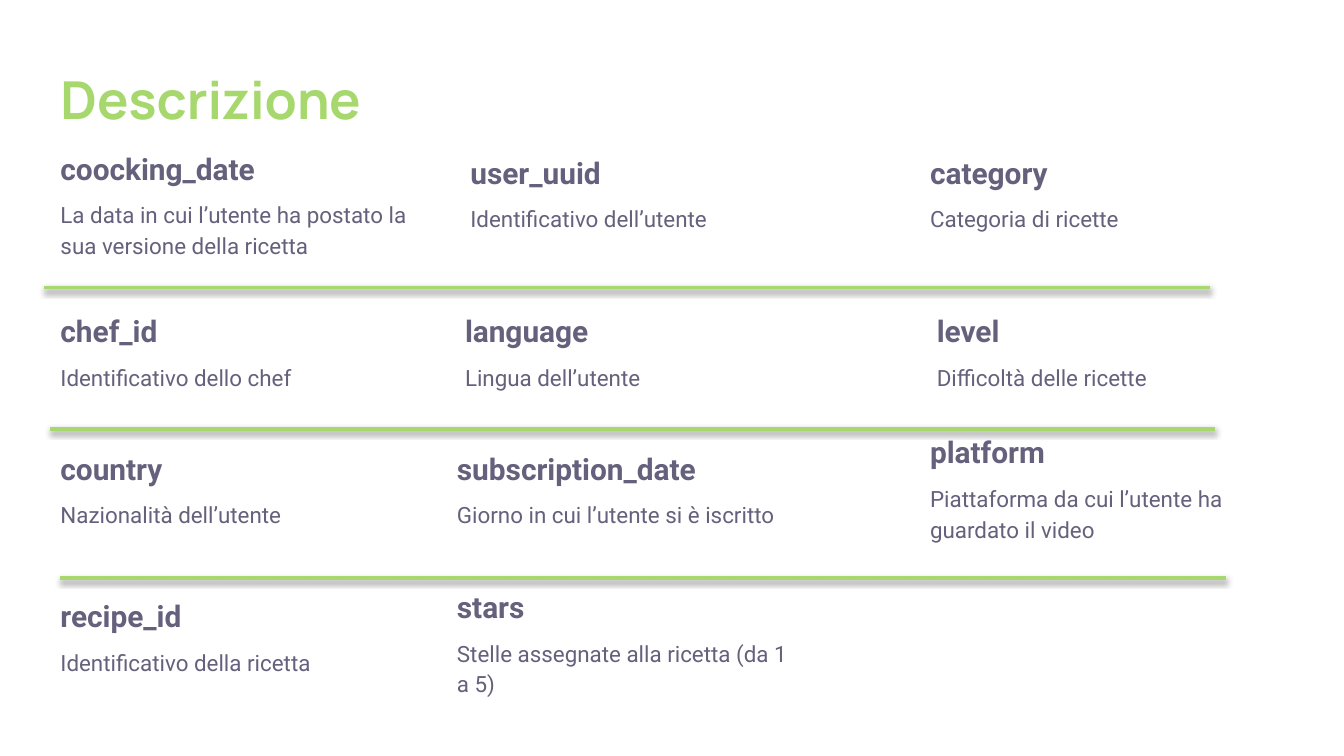
import pptx
import pptx.dml.color
import pptx.enum.shapes
import pptx.enum.text
import pptx.oxml
import pptx.oxml.ns
import pptx.util
from pptx.util import Inches

COLORS = {"green": "A7D86D", "text": "65617D", "shadow": "000000"}
FIELD_WIDTH = 2.58
RULE_LENGTH = 8.67

FIELDS = [  # left, top, height, name, description
    (0.45, 1.08, 1.43, "coocking_date",
     "La data in cui l’utente ha postato la sua versione della ricetta"),
    (3.5, 1.11, 1.43, "user_uuid", "Identificativo dell’utente"),
    (6.92, 1.11, 1.43, "category", "Categoria di ricette"),
    (0.45, 2.29, 0.91, "chef_id", "Identificativo dello chef"),
    (3.46, 2.29, 0.91, "language", "Lingua dell’utente"),
    (6.97, 2.29, 0.91, "level", "Difficoltà delle ricette"),
    (6.92, 3.19, 1.43, "platform", "Piattaforma da cui l’utente ha guardato il video"),
    (3.4, 3.31, 0.91, "subscription_date", "Giorno in cui l’utente si è iscritto"),
    (0.45, 3.31, 0.91, "country", "Nazionalità dell’utente"),
    (0.45, 4.41, 0.91, "recipe_id", "Identificativo della ricetta"),
    (3.4, 4.34, 0.91, "stars", "Stelle assegnate alla ricetta (da 1 a 5)"),
]
RULES = [(0.33, 2.14), (0.37, 3.19), (0.45, 4.3)]  # left, top


def rgb(name):
    return pptx.dml.color.RGBColor.from_string(COLORS[name])


class Page:
    """The current slide and the style of its elements."""

    def __init__(self, deck):
        self.slide = deck.slides.add_slide(deck.slide_layouts[5])

    def place(self, shape, left, top, width, height):
        shape.left, shape.top = Inches(left), Inches(top)
        shape.width, shape.height = Inches(width), Inches(height)

    def prepare_frame(self, frame, anchor):
        frame.word_wrap = True
        frame.auto_size = pptx.enum.text.MSO_AUTO_SIZE.NONE
        frame.vertical_anchor = anchor
        frame.margin_left = frame.margin_right = 0
        frame.margin_top = frame.margin_bottom = 0

    def format_para(self, para, font, size, color, bold):
        para.alignment = pptx.enum.text.PP_ALIGN.LEFT
        for span in para.runs:
            span.font.name = font
            span.font.size = pptx.util.Pt(size)
            span.font.bold = bold
            span.font.color.rgb = rgb(color)

    def title(self, text):
        box = self.slide.shapes.title
        self.place(box, 0.45, 0.37, 2.94, 0.6)
        self.prepare_frame(box.text_frame, pptx.enum.text.MSO_ANCHOR.BOTTOM)
        box.text_frame.text = text
        self.format_para(box.text_frame.paragraphs[0], "Manrope", 28, "green", True)

    def field(self, left, top, height, name, description):
        box = self.slide.shapes.add_textbox(
            Inches(left), Inches(top), Inches(FIELD_WIDTH), Inches(height))
        frame = box.text_frame
        self.prepare_frame(frame, pptx.enum.text.MSO_ANCHOR.TOP)
        frame.text = f"{name}\n{description}"
        for para, size, bold in zip(frame.paragraphs, (16, 12), (True, False)):
            para.line_spacing = 1.15
            para.space_before = pptx.util.Pt(6)
            self.format_para(para, "Roboto", size, "text", bold)

    def rule(self, left, top):
        """Draw a green separator with a soft shadow below it."""
        line = self.slide.shapes.add_connector(
            pptx.enum.shapes.MSO_CONNECTOR.STRAIGHT,
            Inches(left), Inches(top), Inches(left + RULE_LENGTH), Inches(top))
        line.line.color.rgb = rgb("green")
        line.line.width = pptx.util.Pt(2)
        blur, distance = pptx.util.Pt(3.1), pptx.util.Pt(1.6)
        line._element.spPr.append(pptx.oxml.parse_xml(
            f'<a:effectLst {pptx.oxml.ns.nsdecls("a")}>'
            f'<a:outerShdw blurRad="{blur}" dist="{distance}" dir="5400000" rotWithShape="0">'
            f'<a:srgbClr val="{COLORS["shadow"]}"><a:alpha val="38000"/></a:srgbClr>'
            '</a:outerShdw></a:effectLst>'))


def main():
    deck = pptx.Presentation()
    deck.slide_width = Inches(10)
    deck.slide_height = deck.slide_width * 9 // 16
    page = Page(deck)
    page.title("Descrizione")
    for field in FIELDS:
        page.field(*field)
    for rule in RULES:
        page.rule(*rule)
    deck.save("out.pptx")


if __name__ == "__main__":
    main()
